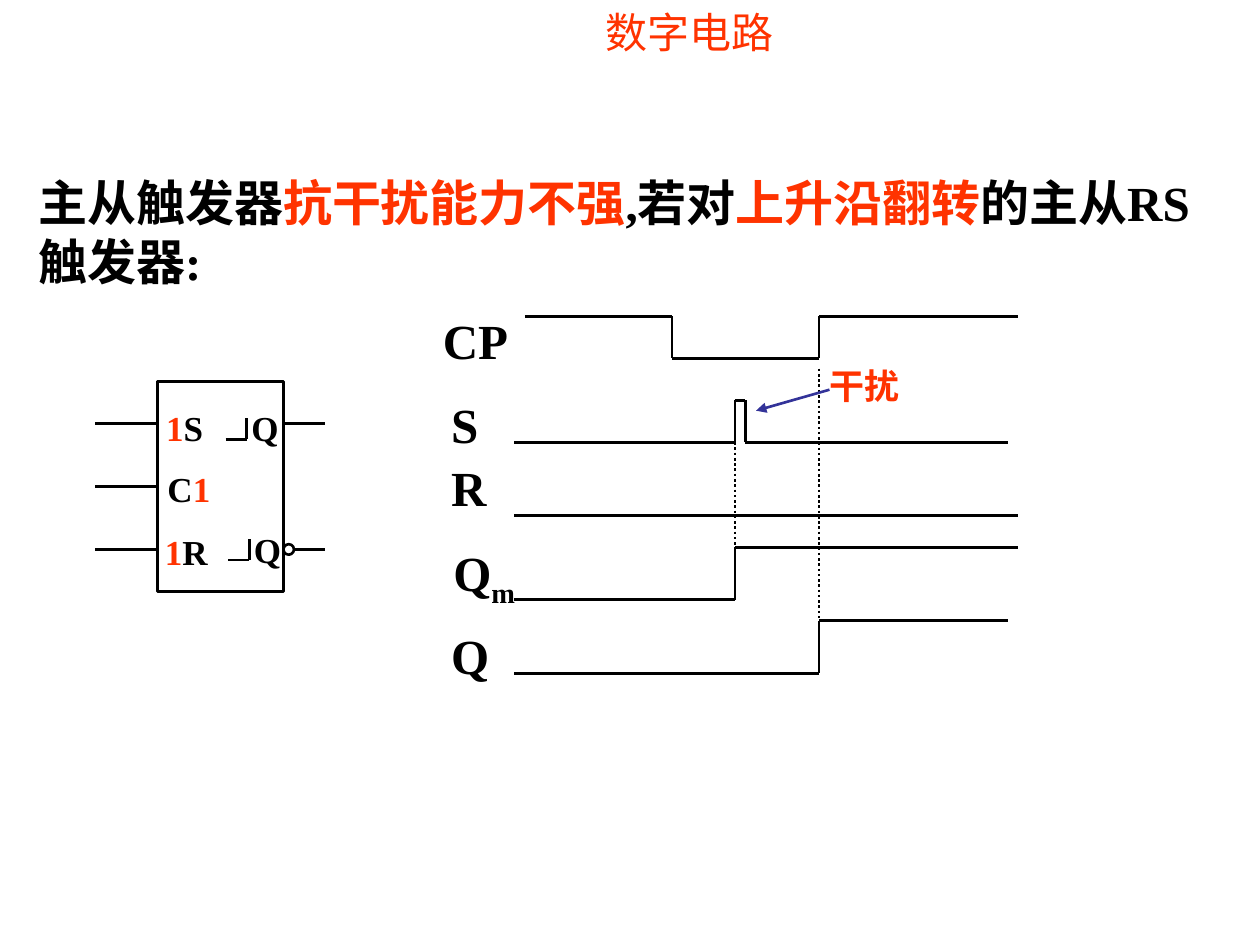
import itertools

import pptx
import pptx.dml.color
import pptx.enum.dml
import pptx.enum.shapes
import pptx.enum.text
import pptx.oxml
import pptx.oxml.ns
import pptx.util

Pt = pptx.util.Pt
RGBColor = pptx.dml.color.RGBColor
SHAPE = pptx.enum.shapes.MSO_SHAPE

BLACK = RGBColor(0x00, 0x00, 0x00)
RED = RGBColor(0xFF, 0x33, 0x00)
BLUE = RGBColor(0x33, 0x33, 0x99)
LATIN = "Times New Roman"
CJK = "Noto Sans CJK SC"


def format_run(r, size, color, latin=LATIN, bold=True):
    r.font.size = Pt(size)
    r.font.bold = bold
    r.font.color.rgb = color
    r.font.name = latin
    ea = pptx.oxml.parse_xml(
        f'<a:ea {pptx.oxml.ns.nsdecls("a")} typeface="{CJK}"/>')
    r.font._element.find(pptx.oxml.ns.qn("a:latin")).addnext(ea)


def add_text(s, left, top, width, height, paragraphs, size, spacing=None):
    """Each paragraph is a list of (text, colour) runs."""
    tf = s.shapes.add_textbox(Pt(left), Pt(top), Pt(width), Pt(height)).text_frame
    tf.word_wrap = True
    for i, runs in enumerate(paragraphs):
        p = tf.add_paragraph() if i else tf.paragraphs[0]
        if spacing:
            p.line_spacing = Pt(spacing)
        for text, color in runs:
            r = p.add_run()
            r.text = text
            format_run(r, size, color)
    return tf


def add_line(s, start, end, color=BLACK, dotted=False, arrow=False):
    c = s.shapes.add_connector(pptx.enum.shapes.MSO_CONNECTOR.STRAIGHT,
                               *map(Pt, start + end))
    c.line.color.rgb = color
    c.line.width = Pt(1.5)
    if dotted:
        c.line.dash_style = pptx.enum.dml.MSO_LINE.ROUND_DOT
    ns = pptx.oxml.ns.nsdecls("a")
    if arrow:
        c.line._get_or_add_ln().append(
            pptx.oxml.parse_xml(f'<a:tailEnd {ns} type="triangle"/>'))
    c._element.spPr.append(pptx.oxml.parse_xml(f"<a:effectLst {ns}/>"))
    return c


def add_wave(s, *points):
    for start, end in itertools.pairwise(points):
        add_line(s, start, end)


def add_outline(s, kind, left, top, width, height):
    sp = s.shapes.add_shape(kind, Pt(left), Pt(top), Pt(width), Pt(height))
    sp.shadow.inherit = False
    sp.fill.background()
    sp.line.color.rgb = BLACK
    sp.line.width = Pt(1.5)
    return sp


def add_title(s):
    sp = s.shapes.title
    sp.left, sp.top, sp.width, sp.height = Pt(292), Pt(0), Pt(204), Pt(43)
    tf = sp.text_frame
    tf.text = "数字电路"
    tf.word_wrap = False
    tf.vertical_anchor = pptx.enum.text.MSO_ANCHOR.TOP
    p = tf.paragraphs[0]
    p.alignment = pptx.enum.text.PP_ALIGN.CENTER
    format_run(p.runs[0], 24, RED, CJK, False)


def add_timing_diagram(s):
    # Key moments: clock falls, disturbance starts and ends, clock rises
    fall, pulse, pulse_end, rise = 384, 420, 426, 468
    left, right, far_right = 294, 576, 582

    # Signals CP, S, R, Qm and Q
    add_wave(s, (300, 180.7), (fall, 180.7), (fall, 204.7), (rise, 204.7),
             (rise, 180.7), (far_right, 180.7))
    add_wave(s, (left, 252.7), (pulse, 252.7), (pulse, 228.7),
             (pulse_end, 228.7), (pulse_end, 252.7), (right, 252.7))
    add_wave(s, (left, 294.7), (far_right, 294.7))
    add_wave(s, (left, 342.7), (pulse, 342.7), (pulse, 312.7),
             (far_right, 312.7))
    add_wave(s, (left, 384.7), (rise, 384.7), (rise, 354.7), (right, 354.7))

    # Time guides
    add_line(s, (pulse, 252.7), (pulse, 312.7), dotted=True)
    add_line(s, (rise, 210.7), (rise, 354.7), dotted=True)

    # Signal names
    for name, x, y, width in (("CP", 246, 174, 60), ("S", 250.7, 222, 36),
                              ("R", 250.7, 258, 40), ("Q", 250.7, 354, 42)):
        add_text(s, x, y, width, 41, [[(name, BLACK)]], 28)
    tf = add_text(s, 252, 306.5, 58, 45, [[("Q", BLACK), ("m", BLACK)]], 28)
    tf.paragraphs[0].runs[1].font._element.set("baseline", "-25000")

    # Disturbance callout
    add_text(s, 467, 204.5, 64, 32, [[("干扰", RED)]], 20, 24)
    add_line(s, (474, 222.7), (432, 234.7), BLUE, arrow=True)


def add_flip_flop(s):
    left, right, top = 90, 162, 218
    set_y, clock_y, reset_y = 242, 278, 314
    body = add_outline(s, SHAPE.RECTANGLE, left, top, right - left, 120)

    # Input and output leads
    for y in (set_y, clock_y, reset_y):
        lead = add_line(s, (left, y), (54, y))
        if y == clock_y:
            lead.begin_connect(body, 1)
    add_line(s, (right, set_y), (186, set_y))
    add_outline(s, SHAPE.OVAL, right, reset_y - 3, 6, 6)
    add_line(s, (right + 6, reset_y), (186, reset_y))

    # Pin names
    for runs, x, y in (([("1", RED), ("S", BLACK)], 87.8, 229),
                       ([("C", BLACK), ("1", RED)], 88.6, 263.8),
                       ([("1", RED), ("R", BLACK)], 87.1, 299.8),
                       ([("Q", BLACK)], 136.5, 229),
                       ([("Q", BLACK)], 138, 298.3)):
        add_text(s, x, y, 46, 32, [runs], 20)

    # Delayed-output marks
    for x, y in ((129, 251), (130.5, 320)):
        add_wave(s, (x, y), (x + 12, y), (x + 12, y - 12))


def main():
    prs = pptx.Presentation()
    prs.slide_width, prs.slide_height = Pt(720), Pt(540)
    s = prs.slides.add_slide(prs.slide_layouts[5])
    add_title(s)
    # Statement above the diagrams
    add_text(s, 14.9, 95.5, 704, 75, [
        [("主从触发器", BLACK), ("抗干扰能力不强", RED), (",若对", BLACK),
         ("上升沿翻转", RED), ("的主从RS", BLACK)],
        [("触发器:", BLACK)],
    ], 28, 33.4)
    add_timing_diagram(s)
    add_flip_flop(s)
    prs.save("out.pptx")


if __name__ == "__main__":
    main()
